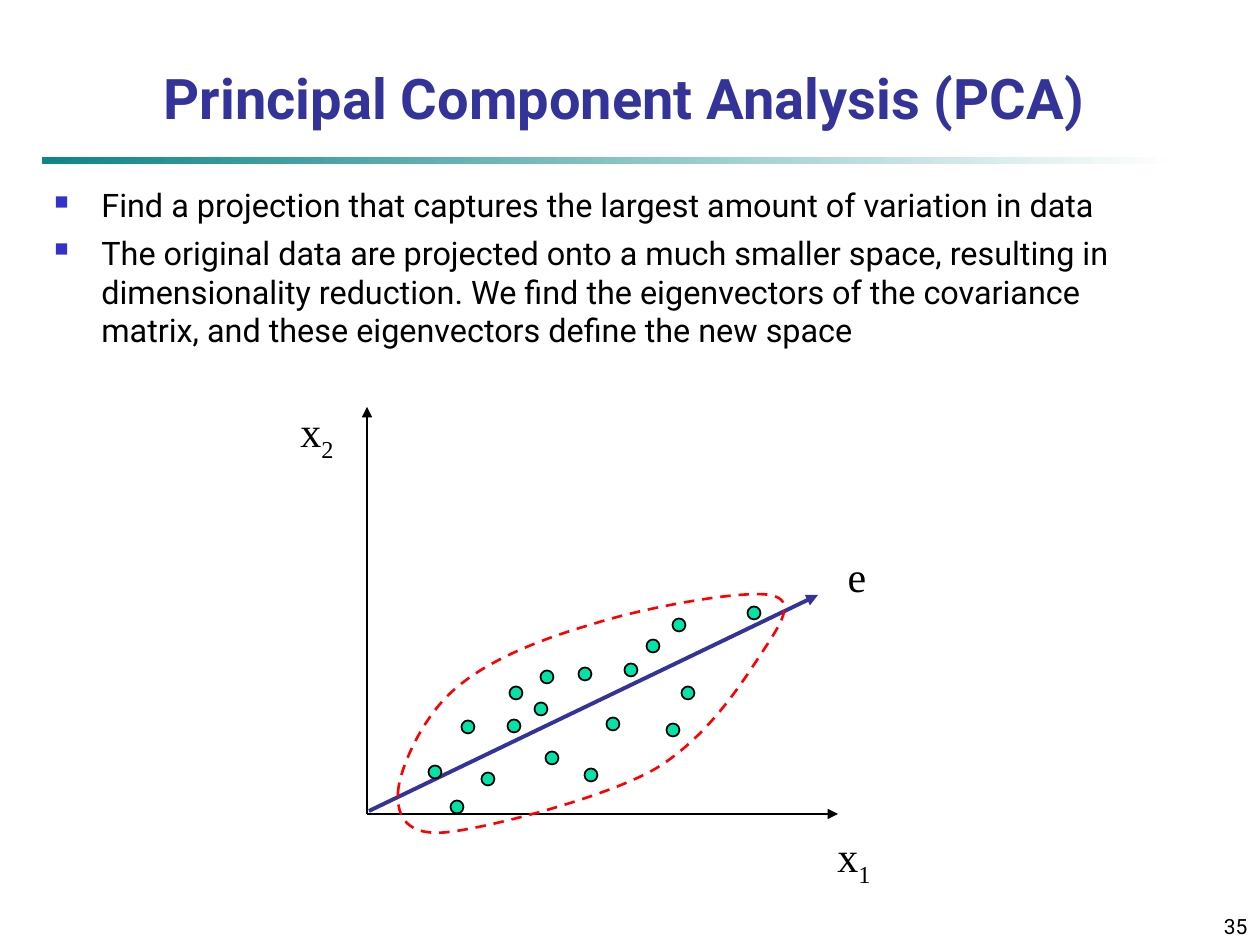
from lxml.etree import SubElement
from pptx import Presentation
from pptx.dml.color import RGBColor
from pptx.enum.dml import MSO_LINE
from pptx.enum.shapes import MSO_CONNECTOR, MSO_SHAPE
from pptx.enum.text import MSO_ANCHOR as ANCHOR, MSO_AUTO_SIZE as AUTO, PP_ALIGN as ALIGN
from pptx.oxml.ns import qn
from pptx.util import Pt

PX = 914400 / 126
BLACK, INDIGO, RED, GREEN = "000000", "333399", "FF0000", "00E4A8"
SANS, SERIF = "Roboto", "Times New Roman"

BULLETS = [
    "Find a projection that captures the largest amount of variation in data",
    "The original data are projected onto a much smaller space, resulting in "
    "dimensionality reduction. We find the eigenvectors of the covariance "
    "matrix, and these eigenvectors define the new space",
]
DOT_SIZE = 13
DOT_CENTRES = [
    (180, 331), (228, 297), (147, 376), (253, 313), (226, 330), (325, 328),
    (303, 379), (264, 362), (297, 278), (400, 297), (466, 217), (200, 383),
    (343, 274), (391, 229), (259, 281), (365, 250), (385, 334), (169, 411),
]
CLOUD_START = (110, 397)
CLOUD_CURVES = [
    (111, 374), (134, 321), (167, 293),
    (200, 264), (253, 243), (305, 228),
    (358, 211), (454, 194), (482, 199),
    (510, 204), (492, 229), (473, 258),
    (454, 287), (419, 342), (367, 373),
    (316, 402), (203, 431), (161, 436),
    (118, 441), (109, 420), CLOUD_START,
]


def emu(*lengths):
    """Turn px lengths into EMU."""
    return [round(length * PX) for length in lengths]


def colour(value):
    """Return the colour for a hex string."""
    return RGBColor.from_string(value)


def add_span(para, text, font=SANS, size=18, ink=BLACK, bold=False, baseline=0):
    """Add one formatted run to a paragraph."""
    span = para.add_run()
    span.text = text
    span.font.name, span.font.size, span.font.bold = font, Pt(size), bold
    span.font.color.rgb = colour(ink)
    if baseline:
        span.font._element.set("baseline", str(baseline * 1000))


def add_text(page, box, text, align=ALIGN.LEFT, anchor=ANCHOR.TOP, wrap=True, **style):
    """Place a one-paragraph text box and return its frame."""
    frame = page.shapes.add_textbox(*emu(*box)).text_frame
    frame.word_wrap, frame.auto_size = wrap, AUTO.NONE
    frame.vertical_anchor = anchor
    frame.paragraphs[0].alignment = align
    add_span(frame.paragraphs[0], text, **style)
    return frame


def add_bullet(para, indent):
    """Give a paragraph a small square bullet and a hanging indent."""
    para.space_before, para.line_spacing = Pt(5), 1.0
    props = para._p.get_or_add_pPr()
    props.set("marL", str(indent))
    props.set("indent", str(-indent))
    ink = SubElement(props, qn("a:buClr"))
    SubElement(ink, qn("a:srgbClr"), val="3333CC")
    SubElement(props, qn("a:buSzPct"), val="60000")
    SubElement(props, qn("a:buChar"), char="■")


def add_arrow(page, start, end, ink=BLACK, weight=1):
    """Draw a straight arrow between two points."""
    arrow = page.shapes.add_connector(MSO_CONNECTOR.STRAIGHT, *emu(*start, *end))
    arrow.line.color.rgb, arrow.line.width = colour(ink), Pt(weight)
    SubElement(arrow.line._get_or_add_ln(), qn("a:tailEnd"), type="triangle")
    SubElement(arrow._element.spPr, qn("a:effectLst"))


def add_dot(page, x, y):
    """Draw one data point around its centre."""
    corner = x - DOT_SIZE / 2, y - DOT_SIZE / 2
    dot = page.shapes.add_shape(MSO_SHAPE.OVAL, *emu(*corner, DOT_SIZE, DOT_SIZE))
    dot.shadow.inherit = False
    dot.fill.solid()
    dot.fill.fore_color.rgb = colour(GREEN)
    dot.line.color.rgb, dot.line.width = colour(BLACK), Pt(1)


def add_cloud(page, start, points):
    """Draw a dashed closed outline through cubic curves."""
    builder = page.shapes.build_freeform(*start, scale=PX)
    builder.add_line_segments(points, close=True)
    cloud = builder.convert_to_shape()
    cloud.shadow.inherit = False
    cloud.fill.background()
    cloud.line.color.rgb, cloud.line.width = colour(RED), Pt(1.5)
    cloud.line.dash_style = MSO_LINE.DASH
    steps = list(cloud._element.iter(qn("a:lnTo")))
    for first in range(0, len(steps), 3):
        curve = steps[first]
        for step in steps[first + 1:first + 3]:
            curve.append(step[0])
            step.getparent().remove(step)
        curve.tag = qn("a:cubicBezTo")


def add_header(page, left, top):
    """Place the title and the fading rule under it."""
    add_text(page, (left, top, 1207, 116), "Principal Component Analysis (PCA)",
             align=ALIGN.CENTER, anchor=ANCHOR.BOTTOM, size=32, ink=INDIGO, bold=True)
    rule = page.shapes.add_shape(MSO_SHAPE.RECTANGLE, *emu(left + 21, top + 136, 1134, 7))
    rule.shadow.inherit = False
    rule.line.fill.background()
    rule.fill.gradient()
    rule.fill.gradient_angle = 0
    for stop, ink in zip(rule.fill.gradient_stops, ("0D8686", "FFFFFF")):
        stop.color.rgb = colour(ink)


def add_body(page, box):
    """Place the bulleted text."""
    frame = add_text(page, box, BULLETS[0], size=18.5)
    for text in BULLETS[1:]:
        add_span(frame.add_paragraph(), text, size=18.5)
    for para in frame.paragraphs:
        add_bullet(para, *emu(47))


def add_plot(page, left, top):
    """Draw the axes, the eigenvector, the points and their outline."""
    def at(point):
        return left + point[0], top + point[1]

    origin = at((79, 418))
    add_arrow(page, origin, at((79, 11)))
    add_arrow(page, origin, at((550, 418)))
    add_arrow(page, at((81, 415)), at((530, 199)), ink=INDIGO, weight=2.25)
    for centre in DOT_CENTRES:
        add_dot(page, *at(centre))
    add_cloud(page, at(CLOUD_START), [at(point) for point in CLOUD_CURVES])
    labels = [((0, 3), (58, 71), "x", "2"), ((537, 428), (58, 71), "x", "1"),
              ((547, 148), (44, 63), "e", "")]
    for corner, size, name, index in labels:
        frame = add_text(page, (*at(corner), *size), name, align=ALIGN.CENTER,
                         anchor=ANCHOR.MIDDLE, wrap=False, font=SERIF, size=24)
        if index:
            add_span(frame.paragraphs[0], index, font=SERIF, size=24, baseline=-25)


def main():
    """Build and save the slide."""
    deck = Presentation()
    deck.slide_width, deck.slide_height = emu(1260, 945)
    page = deck.slides.add_slide(deck.slide_layouts[6])
    add_header(page, 21, 21)
    add_body(page, (42, 179, 1155, 221))
    add_plot(page, 288, 396)
    add_text(page, (998, 892, 262, 53), "35", align=ALIGN.RIGHT,
             anchor=ANCHOR.BOTTOM, size=12)
    deck.save("out.pptx")


if __name__ == "__main__":
    main()
